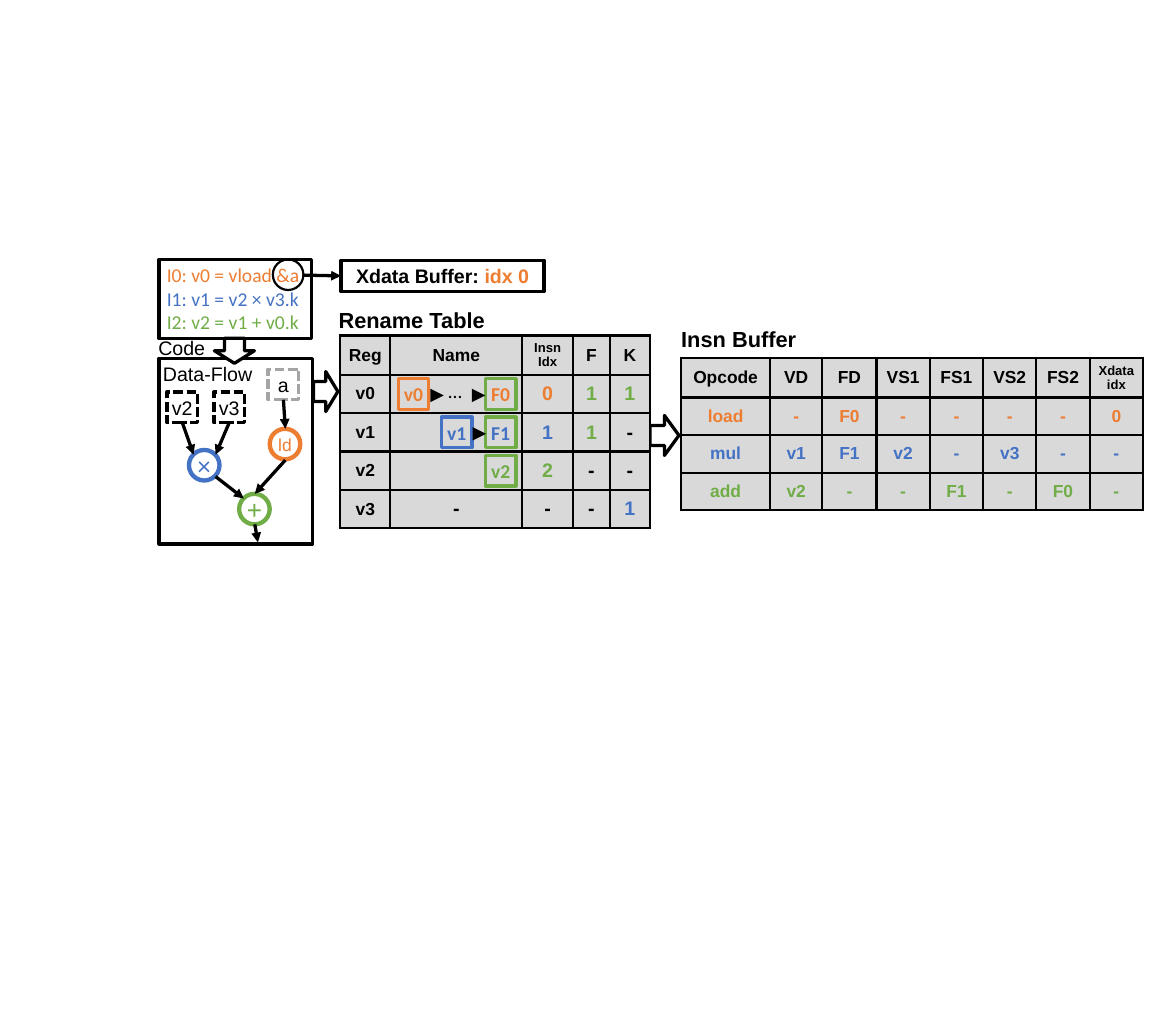
from lxml import etree
from pptx import Presentation
from pptx.dml.color import RGBColor
from pptx.enum import dml, shapes, text
from pptx.oxml import ns
from pptx.util import Inches, Pt

BLACK = RGBColor(0x00, 0x00, 0x00)
WHITE = RGBColor(0xFF, 0xFF, 0xFF)
GRAY = RGBColor(0xA5, 0xA5, 0xA5)
CELL = RGBColor(0xD9, 0xD9, 0xD9)
ORANGE = RGBColor(0xED, 0x7D, 0x31)
BLUE = RGBColor(0x44, 0x72, 0xC4)
GREEN = RGBColor(0x70, 0xAD, 0x47)
KIND = shapes.MSO_SHAPE
NODE = 0.39


def write(frame, lines, size=18, font="Arial", bold=False, align=None):
    """Fill a text frame; each line is a list of (text, colour) spans."""
    for number, line in enumerate(lines):
        para = frame.add_paragraph() if number else frame.paragraphs[0]
        para.alignment = align
        for words, color in line:
            span = para.add_run()
            span.text = words
            span.font.size = Pt(size)
            span.font.name = font
            span.font.bold = bold
            span.font.color.rgb = color


def draw(page, kind, left, top, width, height, fill=None, line=BLACK, weight=3, turn=0):
    """Add a preset shape without shadow and return it."""
    shape = page.shapes.add_shape(kind, Inches(left), Inches(top), Inches(width), Inches(height))
    shape.shadow.inherit = False
    shape.rotation = turn
    if fill is None:
        shape.fill.background()
    else:
        shape.fill.solid()
        shape.fill.fore_color.rgb = fill
    if line is None:
        shape.line.fill.background()
    else:
        shape.line.color.rgb = line
        shape.line.width = Pt(weight)
    return shape


def node(page, kind, left, top, label, color, size=18, font="Arial", bold=False, **style):
    """Add a small square or circle with a centred label."""
    shape = draw(page, kind, left, top, NODE, NODE, **style)
    frame = shape.text_frame
    frame.margin_left = frame.margin_right = frame.margin_top = frame.margin_bottom = 0
    frame.vertical_anchor = text.MSO_ANCHOR.MIDDLE
    frame.word_wrap = True
    write(frame, [[(label, color)]], size=size, font=font, bold=bold, align=text.PP_ALIGN.CENTER)
    return shape


def caption(page, left, top, width, height, words, **style):
    """Add a one-line text box."""
    box = page.shapes.add_textbox(Inches(left), Inches(top), Inches(width), Inches(height))
    box.text_frame.word_wrap = False
    write(box.text_frame, [[(words, BLACK)]], **style)


def arrow(page, start, end, source=None, target=None):
    """Add an arrow, joined to a source's bottom or a target's left side."""
    line = page.shapes.add_connector(shapes.MSO_CONNECTOR.STRAIGHT, *map(Inches, start + end))
    line.line.color.rgb = BLACK
    line.line.width = Pt(3)
    etree.SubElement(line.line._get_or_add_ln(), ns.qn("a:tailEnd"), type="triangle")
    etree.SubElement(line._element.spPr, ns.qn("a:effectLst"))
    if source is not None:
        line.begin_connect(source, 2)
    if target is not None:
        line.end_connect(target, 1)


def outline_cell(cell):
    """Give a table cell black borders on all four sides."""
    properties = cell._tc.get_or_add_tcPr()
    for side in ("lnL", "lnR", "lnT", "lnB"):
        border = etree.SubElement(properties, ns.qn("a:" + side), w=str(Pt(2.25)))
        paint = etree.SubElement(border, ns.qn("a:solidFill"))
        etree.SubElement(paint, ns.qn("a:srgbClr"), val=str(BLACK))


def grid(page, left, top, widths, heights, rows):
    """Add a table from rows of (text, colour, size) cells."""
    holder = page.shapes.add_table(len(heights), len(widths), Inches(left), Inches(top),
                                   Inches(sum(widths)), Inches(sum(heights)))
    table = holder.table
    table.first_row = table.horz_banding = False
    for column, width in zip(table.columns, widths):
        column.width = Inches(width)
    for band, height, cells in zip(table.rows, heights, rows):
        band.height = Inches(height)
        for cell, (words, color, size) in zip(band.cells, cells):
            outline_cell(cell)
            cell.fill.solid()
            cell.fill.fore_color.rgb = CELL
            cell.margin_left = cell.margin_right = Inches(0.05)
            cell.vertical_anchor = text.MSO_ANCHOR.MIDDLE
            if words:
                write(cell.text_frame, [[(words, color)]], size=size, bold=True,
                      align=text.PP_ALIGN.CENTER)


def header(labels):
    """Return header cells, with two-word labels set smaller."""
    return [(label, BLACK, 12 if " " in label else 16) for label in labels]


def code_region(page, left, top):
    """Draw the code listing and the buffer its address points to."""
    listing = draw(page, KIND.RECTANGLE, left, top, 1.94, 1.01)
    listing.text_frame.vertical_anchor = text.MSO_ANCHOR.TOP
    write(listing.text_frame, [[("I0: v0 = vload &a", ORANGE)], [("I1: v1 = v2 × v3.k", BLUE)],
                               [("I2: v2 = v1 + v0.k", GREEN)]],
          font="Calibri", align=text.PP_ALIGN.LEFT)
    caption(page, left - 0.11, top + 0.93, 0.81, 0.4, "Code")
    buffer = draw(page, KIND.RECTANGLE, left + 2.32, top + 0.01, 2.59, 0.4)
    write(buffer.text_frame, [[("Xdata Buffer: ", BLACK), ("idx 0", ORANGE)]],
          bold=True, align=text.PP_ALIGN.CENTER)
    draw(page, KIND.OVAL, left + 1.45, top, NODE, NODE, weight=2)
    arrow(page, (left + 1.84, top + 0.2), (left + 2.32, top + 0.21), target=buffer)


def data_flow_region(page, left, top):
    """Draw the framed data-flow graph."""
    draw(page, KIND.RECTANGLE, left, top, 1.96, 2.37)
    caption(page, left - 0.05, top, 1.35, 0.4, "Data-Flow")
    for x, y, label, color, size, font in ((1.41, 0.9, "ld", ORANGE, 16, "Arial"),
                                           (0.38, 1.17, "×", BLUE, 24, "Calibri"),
                                           (1.02, 1.73, "+", GREEN, 24, "Arial")):
        node(page, KIND.OVAL, left + x, top + y, label, color, size=size, font=font,
             fill=WHITE, line=color, weight=4)
    for x, y, label, edge, end in ((0.1, 0.43, "v2", BLACK, (0.44, 1.23)),
                                   (0.7, 0.43, "v3", BLACK, (0.72, 1.23)),
                                   (1.39, 0.14, "a", GRAY, (1.61, 0.9))):
        operand = node(page, KIND.RECTANGLE, left + x, top + y, label, BLACK, fill=WHITE, line=edge)
        operand.line.dash_style = dml.MSO_LINE.SQUARE_DOT
        arrow(page, (left + x, top + y), (left + end[0], top + end[1]), source=operand)
    for x1, y1, x2, y2 in ((1.61, 1.3, 1.22, 1.73), (0.72, 1.51, 1.08, 1.79),
                           (1.22, 2.12, 1.26, 2.35)):
        arrow(page, (left + x1, top + y1), (left + x2, top + y2))


def rename_region(page, left, top):
    """Draw the rename table and the register chains in its Name column."""
    rows = [header(["Reg", "Name", "Insn Idx", "F", "K"])]
    for register, name, values in (
            ("v0", "", (("0", ORANGE), ("1", GREEN), ("1", GREEN))),
            ("v1", "", (("1", BLUE), ("1", GREEN), ("-", BLACK))),
            ("v2", "", (("2", GREEN), ("-", BLACK), ("-", BLACK))),
            ("v3", "-", (("-", BLACK), ("-", BLACK), ("1", BLUE)))):
        rows.append([(register, BLACK, 16), (name, BLACK, 18)]
                    + [(value, color, 18) for value, color in values])
    grid(page, left, top, [0.64, 1.68, 0.65, 0.47, 0.51], [0.5] + [0.49] * 4, rows)
    caption(page, left - 0.12, top - 0.42, 2.08, 0.44, "Rename Table", size=20, bold=True)
    for x, row, label, color, edge in ((0.74, 0, "v0", ORANGE, ORANGE),
                                       (1.85, 0, "F0", ORANGE, GREEN),
                                       (1.29, 1, "v1", BLUE, BLUE),
                                       (1.85, 1, "F1", BLUE, GREEN),
                                       (1.85, 2, "v2", GREEN, GREEN)):
        node(page, KIND.RECTANGLE, left + x, top + 0.55 + 0.49 * row, label, color,
             font="Calibri", bold=True, line=edge)
    for x, row in ((1.15, 0), (1.68, 0), (1.69, 1)):
        draw(page, KIND.ISOSCELES_TRIANGLE, left + x, top + 0.68 + 0.49 * row, 0.17, 0.17,
             fill=BLACK, line=None, turn=90)
    caption(page, left + 1.28, top + 0.5, 0.38, 0.4, "…", font="Calibri")


def insn_region(page, left, top):
    """Draw the instruction buffer table."""
    rows = [header(["Opcode", "VD", "FD", "VS1", "FS1", "VS2", "FS2", "Xdata idx"])]
    for color, entries in ((ORANGE, "load - F0 - - - - 0"),
                           (BLUE, "mul v1 F1 v2 - v3 - -"),
                           (GREEN, "add v2 - - F1 - F0 -")):
        rows.append([(entry, color, 16) for entry in entries.split()])
    grid(page, left, top, [1.13, 0.67, 0.69] + [0.68] * 5, [0.5] + [0.48] * 3, rows)
    caption(page, left - 0.1, top - 0.46, 1.68, 0.44, "Insn Buffer", size=20, bold=True)


def step_arrows(page):
    """Draw the block arrows that lead from region to region."""
    for left, top, width, turn in ((2.83, 4.22, 0.32, 90), (4, 4.74, 0.31, 0),
                                   (8.29, 5.3, 0.37, 0)):
        draw(page, KIND.RIGHT_ARROW, left, top, width, 0.51, fill=WHITE, turn=turn)


def main():
    """Build the slide and save it."""
    deck = Presentation()
    deck.slide_width, deck.slide_height = Inches(15), Inches(13)
    page = deck.slides.add_slide(deck.slide_layouts[6])
    code_region(page, 2.03, 3.31)
    data_flow_region(page, 2.03, 4.57)
    step_arrows(page)
    rename_region(page, 4.34, 4.28)
    insn_region(page, 8.69, 4.57)
    deck.save("out.pptx")


if __name__ == "__main__":
    main()
